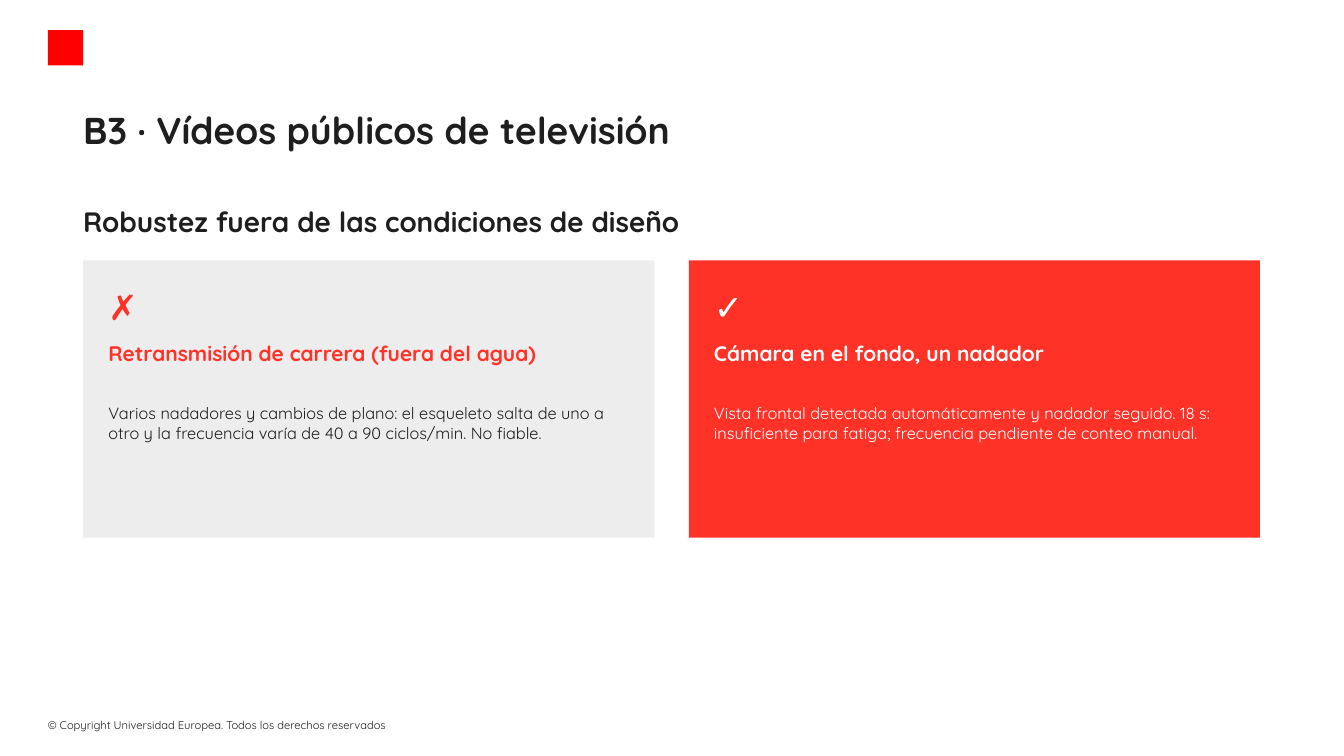
from pptx import Presentation
from pptx.dml.color import RGBColor
from pptx.enum.shapes import MSO_SHAPE
from pptx.enum.text import MSO_ANCHOR, PP_ALIGN
from pptx.oxml.ns import qn
from pptx.util import Inches, Pt

INK, RED, WHITE, GREY = "1E1E1E", "FF3228", "FFFFFF", "EEEDED"
MARGIN = 0.99
CARD_TOP, CARD_WIDTH, CARD_HEIGHT = 3.1, 6.8, 3.3
CARD_STEP = 7.21
PADDING = 0.3

deck = Presentation()
deck.slide_width, deck.slide_height = Inches(16), Inches(9)
page = deck.slides.add_slide(deck.slide_layouts[1])


def write(box, area, text, size, color, bold=False, insets=(0, 0, 0, 0)):
    """Place a text shape at area (inches) and fill it with one paragraph."""
    box.left, box.top, box.width, box.height = map(Inches, area)
    frame = box.text_frame
    frame.word_wrap = True
    frame.vertical_anchor = MSO_ANCHOR.TOP
    (frame.margin_left, frame.margin_top,
     frame.margin_right, frame.margin_bottom) = map(Inches, insets)
    para = frame.paragraphs[0]
    para.text = text
    para.alignment = PP_ALIGN.LEFT
    para.space_before = Pt(0)
    para.font.name = "Quicksand"
    para.font.size = Pt(size)
    para.font.bold = bold
    para.font.color.rgb = RGBColor.from_string(color)
    return para


def add_block(area, color):
    block = page.shapes.add_shape(MSO_SHAPE.RECTANGLE, *map(Inches, area))
    block.shadow.inherit = False
    block.fill.solid()
    block.fill.fore_color.rgb = RGBColor.from_string(color)
    block.line.fill.background()


# Frame of the page: brand square and copyright line
add_block((0.57, 0.36, 0.42, 0.42), "FF0000")
footer = page.shapes.add_textbox(0, 0, 0, 0)
write(footer, (0.47, 8.5, 4.42, 0.26),
      "© Copyright Universidad Europea. Todos los derechos reservados",
      9.6, INK, insets=(0.1, 0.05, 0.1, 0.05))
footer.text_frame.word_wrap = False

# Headings
heading_insets = (0, 0.05, 0.1, 0.05)
title = write(page.shapes.title, (MARGIN, 1.29, 11.8, 0.77),
              "B3 · Vídeos públicos de televisión", 32, INK, True, heading_insets)
title.line_spacing = 0.9

body = page.placeholders[1]
body_properties = body.text_frame.paragraphs[0]._p.get_or_add_pPr()
body_properties.set("marL", "0")
body_properties.set("indent", "0")
body_properties.append(body_properties.makeelement(qn("a:buNone"), {}))
write(body, (MARGIN, 2.38, 13.5, 0.65),
      "Robustez fuera de las condiciones de diseño", 24, INK, True, heading_insets)

# Cards: fill, accent colour, text colour, mark, heading, description
cards = [
    (GREY, RED, INK, "✗", "Retransmisión de carrera (fuera del agua)",
     "Varios nadadores y cambios de plano: el esqueleto salta de uno a otro "
     "y la frecuencia varía de 40 a 90 ciclos/min. No fiable."),
    (RED, WHITE, WHITE, "✓", "Cámara en el fondo, un nadador",
     "Vista frontal detectada automáticamente y nadador seguido. 18 s: "
     "insuficiente para fatiga; frecuencia pendiente de conteo manual."),
]
for column, (fill, accent, ink, mark, heading, description) in enumerate(cards):
    left = MARGIN + column * CARD_STEP
    add_block((left, CARD_TOP, CARD_WIDTH, CARD_HEIGHT), fill)
    rows = [
        (3.4, 0.6, mark, 30, accent, True),
        (4.05, 0.8, heading, 18, accent, True),
        (4.8, 1.4, description, 14, ink, False),
    ]
    for top, height, text, size, color, bold in rows:
        area = (left + PADDING, top, CARD_WIDTH - 2 * PADDING, height)
        para = write(page.shapes.add_textbox(0, 0, 0, 0), area, text, size, color, bold)
        para.space_after = Pt(6)

deck.save("out.pptx")
